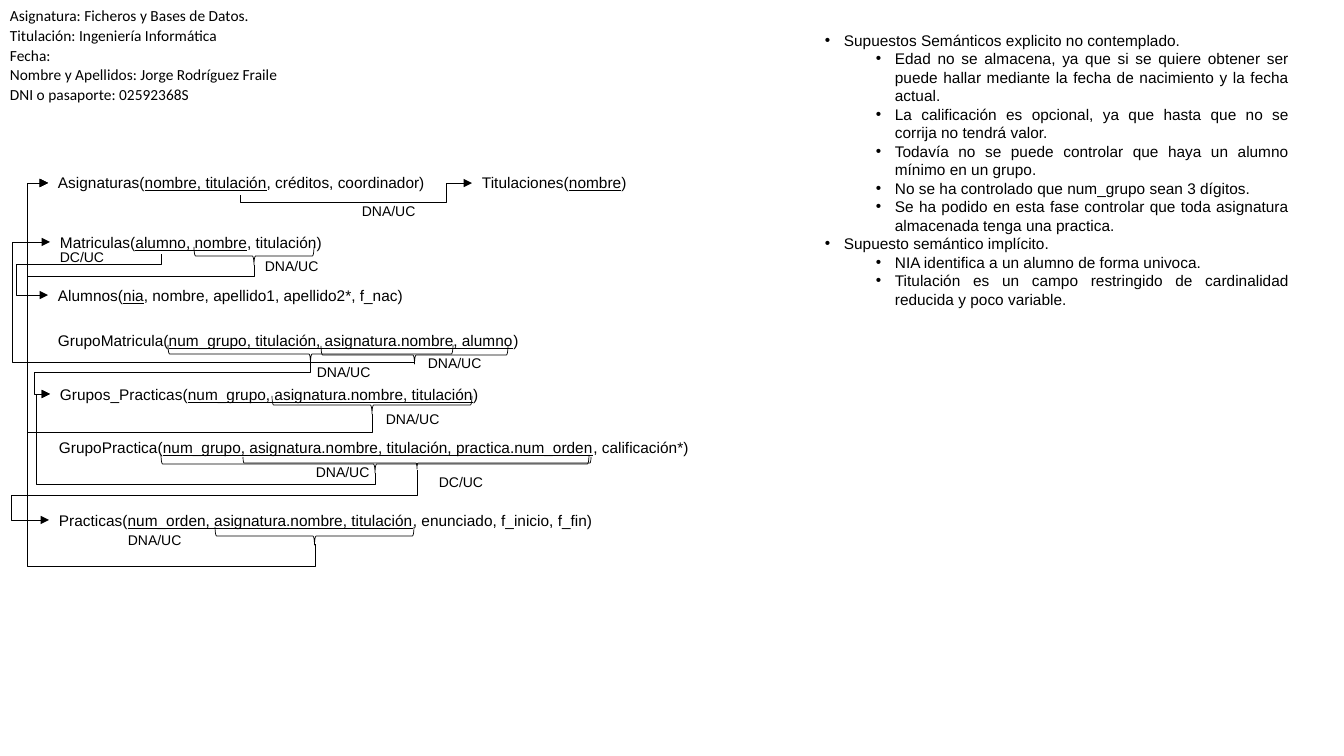
from pptx import Presentation
from pptx import util as u
from pptx.dml.color import RGBColor
from pptx.enum import shapes, text
from pptx.oxml import ns
from lxml import etree

SCALE = 914400 / 100.8
INK = "000000"

HEAD = ["Asignatura: Ficheros y Bases de Datos.",
        "Titulación: Ingeniería Informática",
        "Fecha: ",
        "Nombre y Apellidos: Jorge Rodríguez Fraile",
        "DNI o pasaporte: 02592368S"]

# Level and wording of each assumption
NOTES = [
    (0, "Supuestos Semánticos explicito no contemplado."),
    (1, "Edad no se almacena, ya que si se quiere obtener ser puede hallar "
        "mediante la fecha de nacimiento y la fecha actual."),
    (1, "La calificación es opcional, ya que hasta que no se corrija no "
        "tendrá valor."),
    (1, "Todavía no se puede controlar que haya un alumno mínimo en un grupo."),
    (1, "No se ha controlado que num_grupo sean 3 dígitos."),
    (1, "Se ha podido en esta fase controlar que toda asignatura almacenada "
        "tenga una practica."),
    (0, "Supuesto semántico implícito."),
    (1, "NIA identifica a un alumno de forma univoca."),
    (1, "Titulación es un campo restringido de cardinalidad reducida y poco "
        "variable."),
]

# Left, top and wording of each relation; keys stand between bars
TABLES = [
    (48, 168, "Asignaturas(|nombre, titulación|, créditos, coordinador)"),
    (472, 168, "Titulaciones(|nombre|)"),
    (50, 228, "Matriculas(|alumno, nombre|, titulación)"),
    (48, 281, "Alumnos(|nia|, nombre, apellido1, apellido2*, f_nac)"),
    (48, 326, "GrupoMatricula(|num_grupo, titulación, asignatura.nombre, "
              "alumno|)"),
    (50, 380, "Grupos_Practicas(|num_grupo, asignatura.nombre, titulación|)"),
    (49, 433, "GrupoPractica(|num_grupo, asignatura.nombre, titulación, "
              "practica.num_orden|, calificación*)"),
    (49, 506, "Practicas(|num_orden, asignatura.nombre, titulación|, "
              "enunciado, f_inicio, f_fin)"),
]

# Left and top of each rule label
RULES = {
    "DC/UC": [(50, 244), (429, 469)],
    "DNA/UC": [(418, 350), (352, 198), (255, 253), (307, 359), (376, 406),
               (306, 459), (118, 527)],
}

# Left, top, length and depth of each brace
BRACES = [(194, 247, 120, 18), (168, 345, 285, 18), (321, 346, 187, 18),
          (272, 396, 200, 18), (161, 455, 428, 18), (243, 457, 348, 12),
          (215, 527, 199, 18)]

# Start, level of the long run, column of the rise, and target
LINKS = [((240, 195), 202, 446, (472, 183)),
         ((254, 265), 277, 27, (48, 183)),
         ((161, 254), 264, 16, (48, 295)),
         ((414, 364), 362, 12, (50, 242)),
         ((310, 363), 372, 35, (50, 394)),
         ((372, 414), 432, 27, (48, 183)),
         ((375, 473), 484, 36, (50, 394)),
         ((417, 470), 495, 12, (49, 520)),
         ((315, 544), 566, 27, (48, 183))]


def px(*vals):
    """Turn pixels into EMU."""
    return [u.Emu(round(v * SCALE)) for v in vals]


def tint(code):
    """Make a colour from a hex string."""
    return RGBColor.from_string(code)


def sub(node, tag, **attrs):
    """Append a drawing element and return it."""
    return etree.SubElement(node, ns.qn(tag), attrs)


def bullet(para, level):
    """Give a paragraph a hanging bullet."""
    para.level = level
    prop = para._p.get_or_add_pPr()
    left, hang = px(70 if level else 19, 19)
    prop.set("marL", str(left))
    prop.set("indent", str(-hang))
    sub(prop, "a:buFont", typeface="Arial")
    sub(prop, "a:buChar", char="•")


def write(slide, box, lines, size=11, font="Arial", align=None, lead=None,
          after=0, levels=None):
    """Add a text box; words between bars are underlined."""
    frame = slide.shapes.add_textbox(*px(*box)).text_frame
    frame.word_wrap = True
    frame.auto_size = text.MSO_AUTO_SIZE.SHAPE_TO_FIT_TEXT
    for i, line in enumerate(lines):
        para = frame.add_paragraph() if i else frame.paragraphs[0]
        para.alignment = align
        para.line_spacing = lead
        if levels:
            bullet(para, levels[i])
        for j, part in enumerate(line.split("|")):
            run = para.add_run()
            run.text = part
            face = run.font
            face.size, face.name = u.Pt(size), font
            face.color.rgb = tint(INK)
            if j % 2:
                face.underline = True
    if after:
        para.space_after = u.Pt(after)


def stroke(line):
    """Set the thin line that the whole diagram shares."""
    line.color.rgb = tint(INK)
    line.width = u.Pt(0.5)


def brace(slide, left, top, length, depth):
    """Add a brace that points down, by turning a right brace."""
    x = left + (length - depth) / 2
    y = top + (depth - length) / 2
    shape = slide.shapes.add_shape(shapes.MSO_SHAPE.RIGHT_BRACE,
                                   *px(x, y, depth, length))
    shape.rotation = 90
    shape.shadow.inherit = False
    shape.fill.background()
    stroke(shape.line)


def link(slide, start, level, column, end):
    """Add a bent arrow: down, across, up or down, then into the target."""
    (x, y), (ex, ey) = start, end
    dx, dy = ex - x, ey - y
    mx, my = (x + ex) / 2, (y + ey) / 2
    # A turn of 270 degrees makes the route leave its start vertically
    wire = slide.shapes.add_connector(
        shapes.MSO_CONNECTOR.ELBOW,
        *px(mx + dy / 2, my - dx / 2, mx - dy / 2, my + dx / 2))
    stroke(wire.line)
    prop = wire._element.spPr
    prop.find(ns.qn("a:xfrm")).set("rot", str(270 * 60000))
    geom = prop.find(ns.qn("a:prstGeom"))
    geom.set("prst", "bentConnector4")
    guides = geom.find(ns.qn("a:avLst"))
    for name, share in (("adj1", (level - y) / dy), ("adj2", (column - x) / dx)):
        sub(guides, "a:gd", name=name, fmla=f"val {round(share * 100000)}")
    sub(prop.find(ns.qn("a:ln")), "a:tailEnd", type="triangle")
    sub(prop, "a:effectLst")


def main():
    """Build the slide and save it."""
    deck = Presentation()
    deck.slide_width, deck.slide_height = px(1344, 756)
    slide = deck.slides.add_slide(deck.slide_layouts[6])

    write(slide, (0, 0, 672, 109), HEAD, font="Calibri", lead=1.07, after=8)
    levels, notes = zip(*NOTES)
    write(slide, (815, 26, 484, 290), notes, levels=levels,
          align=text.PP_ALIGN.JUSTIFY)
    for left, top, line in TABLES:
        write(slide, (left, top, 767, 29), [line])
    for item in BRACES:
        brace(slide, *item)
    for item in LINKS:
        link(slide, *item)
    for rule, spots in RULES.items():
        for left, top in spots:
            write(slide, (left, top, 91, 27), [rule], size=10)

    deck.save("out.pptx")


main()
